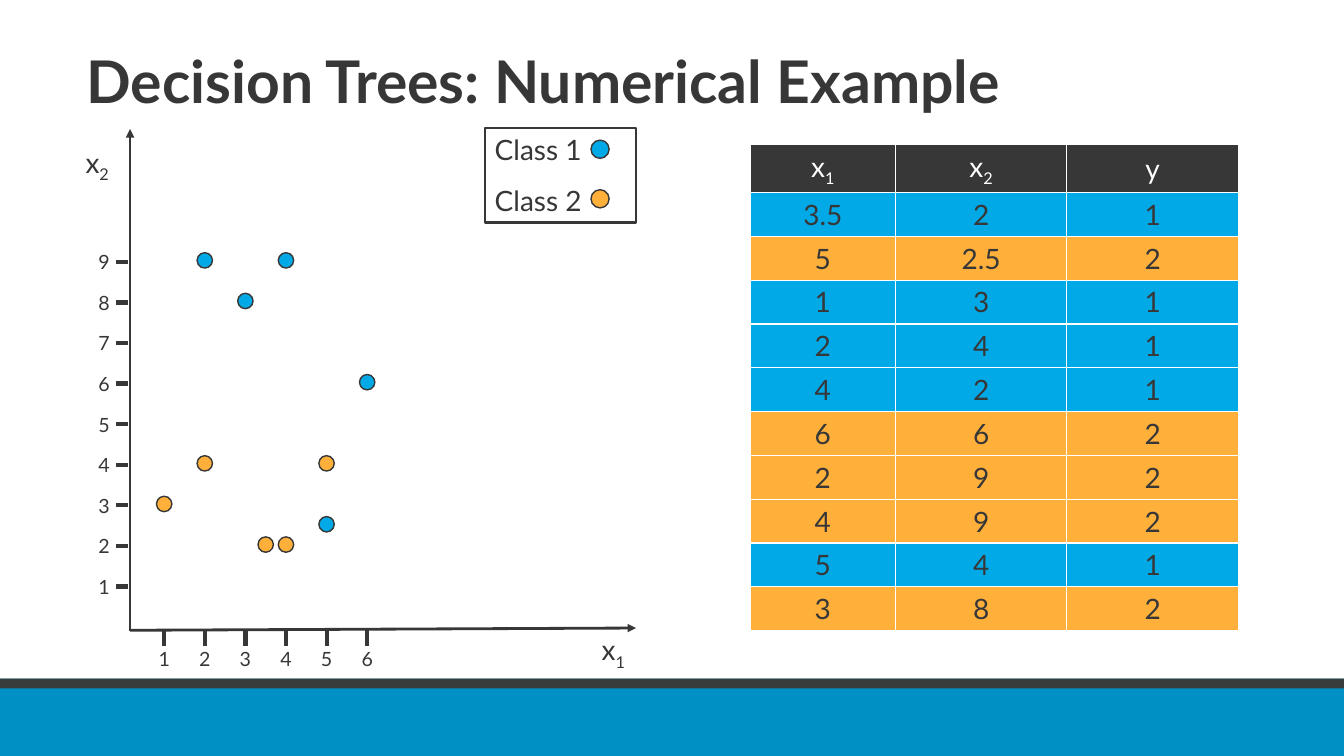
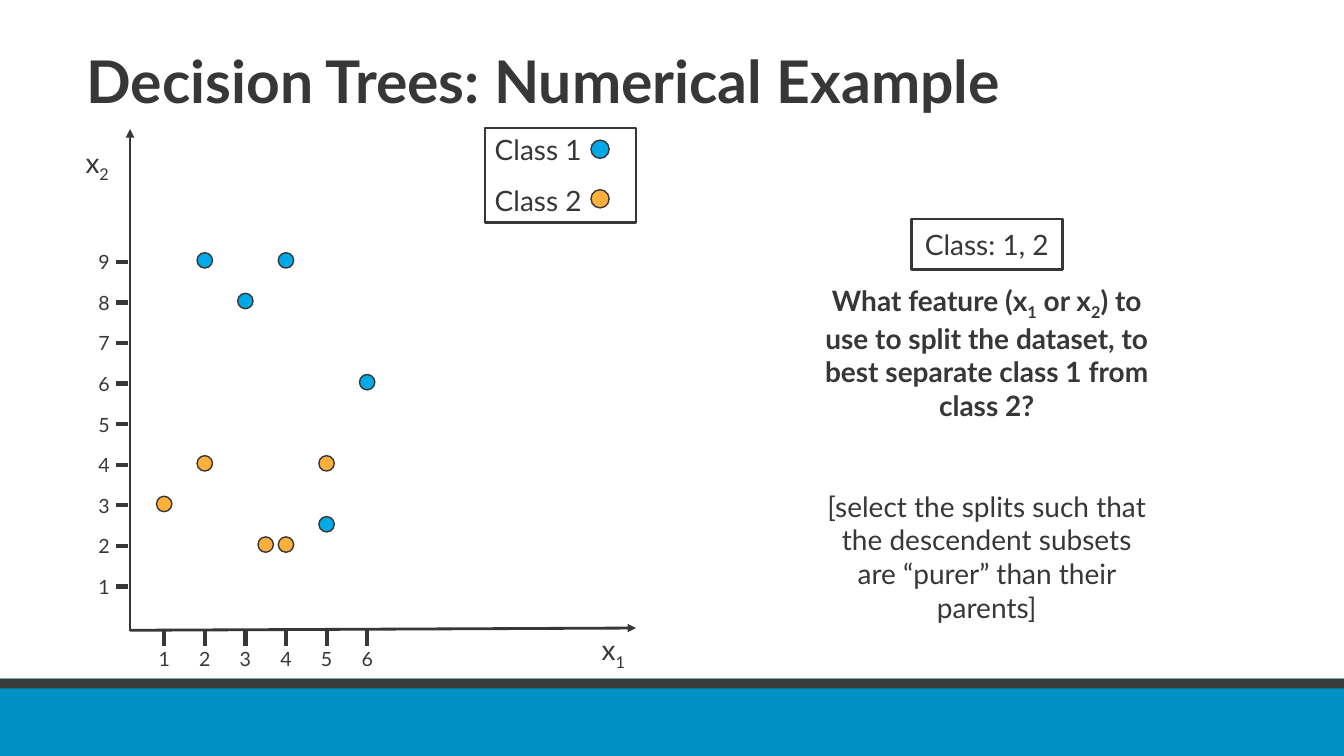
from dataclasses import dataclass

import pptx
import pptx.dml.color
import pptx.enum.shapes
import pptx.enum.text
import pptx.oxml
import pptx.oxml.ns
import pptx.util

Pt = pptx.util.Pt
Kind = pptx.enum.shapes.MSO_SHAPE
Align = pptx.enum.text.PP_ALIGN
Anchor = pptx.enum.text.MSO_ANCHOR

FONT = "Lato"
INK, WHITE = "373737", "FFFFFF"
BAND, STRIPE = "0090C3", "383D3B"
BLUE, GOLD = "02A9E7", "FFB03B"
HUES = {1: BLUE, 2: GOLD}
DOTS = {1: GOLD, 2: BLUE}
TITLE = "Decision Trees: Numerical Example"
STEP = 29


@dataclass(frozen=True)
class Box:
    left: float
    top: float
    width: float
    height: float


@dataclass(frozen=True)
class Style:
    size: float = 20
    color: str = INK
    bold: bool = False
    align: Align = Align.LEFT


@dataclass(frozen=True)
class Case:
    x: float
    y: float
    group: int


CASES = [
    Case(3.5, 2, 1), Case(5, 2.5, 2), Case(1, 3, 1), Case(2, 4, 1),
    Case(4, 2, 1), Case(6, 6, 2), Case(2, 9, 2), Case(4, 9, 2),
    Case(5, 4, 1), Case(3, 8, 2),
]


def rgb(code: str) -> pptx.dml.color.RGBColor:
    return pptx.dml.color.RGBColor.from_string(code)


def spot_x(value: float) -> float:
    return 117.3 + STEP * (value - 1)


def spot_y(value: float) -> float:
    return 419 - STEP * (value - 1)


def write(par, text: str, style: Style) -> None:
    """Fill a paragraph; the character after an underscore is a subscript."""
    par.alignment = style.align
    head, *rest = text.split("_")
    parts = [(head, False)]
    for part in rest:
        parts += [(part[0], True), (part[1:], False)]
    for words, low in parts:
        if not words:
            continue
        run = par.add_run()
        run.text = words
        font = run.font
        font.name, font.size, font.bold = FONT, Pt(style.size), style.bold
        font.color.rgb = rgb(style.color)
        if low:
            run._r.get_or_add_rPr().set("baseline", "-25000")


def add_text(slide, box: Box, text: str, style: Style = Style(),
             anchor: Anchor = Anchor.TOP, inset: bool = True, wrap: bool = True):
    area = slide.shapes.add_textbox(
        Pt(box.left), Pt(box.top), Pt(box.width), Pt(box.height))
    frame = area.text_frame
    frame.word_wrap, frame.vertical_anchor = wrap, anchor
    if not inset:
        frame.margin_left = frame.margin_right = 0
        frame.margin_top = frame.margin_bottom = 0
    write(frame.paragraphs[0], text, style)
    return frame


def add_shape(slide, kind: Kind, box: Box, fill: str = "", line: float = 0):
    shape = slide.shapes.add_shape(
        kind, Pt(box.left), Pt(box.top), Pt(box.width), Pt(box.height))
    shape.shadow.inherit = False
    if fill:
        shape.fill.solid()
        shape.fill.fore_color.rgb = rgb(fill)
    else:
        shape.fill.background()
    if line:
        shape.line.color.rgb = rgb(INK)
        shape.line.width = Pt(line)
    else:
        shape.line.fill.background()
    return shape


def add_dot(slide, x: float, y: float, size: float, fill: str) -> None:
    """Draw a dot centred on x, y."""
    box = Box(x - size / 2, y - size / 2, size, size)
    add_shape(slide, Kind.OVAL, box, fill, 1)


def add_line(slide, x1: float, y1: float, x2: float, y2: float,
             width: float, arrow: bool = False) -> None:
    line = slide.shapes.add_connector(
        pptx.enum.shapes.MSO_CONNECTOR.STRAIGHT, Pt(x1), Pt(y1), Pt(x2), Pt(y2))
    line.line.color.rgb = rgb(INK)
    line.line.width = Pt(width)
    if arrow:
        tip = pptx.oxml.parse_xml(
            f'<a:tailEnd {pptx.oxml.ns.nsdecls("a")} type="triangle"/>')
        line.line._get_or_add_ln().append(tip)
    none = pptx.oxml.parse_xml(f'<a:effectLst {pptx.oxml.ns.nsdecls("a")}/>')
    line._element.spPr.append(none)


def add_tick(slide, x: float, y: float, text: str) -> None:
    """Write an axis number centred on x, y."""
    add_text(slide, Box(x - 10, y - 9, 20, 18), text,
             Style(14, align=Align.CENTER), Anchor.MIDDLE, inset=False)


def add_key(slide) -> None:
    shape = add_shape(slide, Kind.RECTANGLE, Box(346.3, 91.4, 108, 67.7), line=1.75)
    frame = shape.text_frame
    frame.vertical_anchor = Anchor.TOP
    for row, (group, hue) in enumerate(HUES.items()):
        par = frame.add_paragraph() if row else frame.paragraphs[0]
        write(par, f"Class {group}", Style())
        par.space_before = Pt(12 * row)
        add_dot(slide, 428.6, 106.6 + 35.4 * row, 13, hue)


def add_plot(slide) -> None:
    add_line(slide, 92.9, 450.2, 454.3, 448.6, 2, arrow=True)
    add_line(slide, 92.9, 450.7, 92.9, 92.2, 2, arrow=True)
    add_key(slide)
    for value in range(1, 10):
        y = spot_y(value)
        add_line(slide, 83, y, 91.6, y, 3)
        add_tick(slide, 74.3, y, str(value))
    for value in range(1, 7):
        x = spot_x(value)
        add_line(slide, x, 449.6, x, 461.5, 3)
        add_tick(slide, x, 470.8, str(value))
    for case in CASES:
        add_dot(slide, spot_x(case.x), spot_y(case.y) - 1, 11, DOTS[case.group])
    add_text(slide, Box(422.6, 448.6, 32.4, 31.7), "x_1", wrap=False)
    add_text(slide, Box(54, 100.1, 32.4, 31.7), "x_2", wrap=False)


def add_table(slide) -> None:
    widths, top, high = (103.7, 122.5, 122.5), 34.5, 31.3
    rows = [(("x_1", "x_2", "y"), INK, WHITE)]
    rows += [((f"{case.x}", f"{case.y}", f"{case.group}"), HUES[case.group], INK)
             for case in CASES]
    table = slide.shapes.add_table(
        len(rows), len(widths), Pt(535.9), Pt(103), Pt(sum(widths)),
        Pt(top + high * len(CASES))).table
    table.horz_banding = False
    for col, width in zip(table.columns, widths):
        col.width = Pt(width)
    for num, (texts, fill, color) in enumerate(rows):
        table.rows[num].height = Pt(high if num else top)
        for cell, text in zip(table.rows[num].cells, texts):
            cell.fill.solid()
            cell.fill.fore_color.rgb = rgb(fill)
            cell.vertical_anchor = Anchor.TOP if num else Anchor.MIDDLE
            write(cell.text_frame.paragraphs[0], text,
                  Style(color=color, align=Align.CENTER))


def add_task(slide) -> None:
    """Add the question of how to split the data."""
    node = add_shape(slide, Kind.RECTANGLE, Box(650.9, 156.5, 108, 36), line=2)
    node.text_frame.vertical_anchor = Anchor.MIDDLE
    mid = Style(align=Align.CENTER)
    write(node.text_frame.paragraphs[0], "Class: 1, 2", mid)
    frame = add_text(
        slide, Box(580.3, 198.7, 249.1, 249.8),
        "What feature (x_1 or x_2) to use to split the dataset, "
        "to best separate class 1 from class 2?",
        Style(bold=True, align=Align.CENTER))
    hint = frame.add_paragraph()
    write(hint, "[select the splits such that the descendent subsets "
                "are “purer” than their parents]", mid)
    hint.space_before = Pt(48)


def add_page(deck):
    """Add a slide with the shared bands, title and plot."""
    slide = deck.slides.add_slide(deck.slide_layouts[6])
    add_shape(slide, Kind.RECTANGLE, Box(0, 484.8, 960, 55.2), BAND)
    add_shape(slide, Kind.RECTANGLE, Box(0, 484.8, 960, 6.9), STRIPE)
    frame = add_text(slide, Box(54.7, 23, 874.8, 77.8), TITLE,
                     Style(42, bold=True), Anchor.MIDDLE)
    frame.paragraphs[0].line_spacing = 0.8
    add_plot(slide)
    return slide


def main() -> None:
    deck = pptx.Presentation()
    deck.slide_width, deck.slide_height = Pt(960), Pt(540)
    for add_side in (add_table, add_task):
        add_side(add_page(deck))
    deck.save("out.pptx")


if __name__ == "__main__":
    main()
